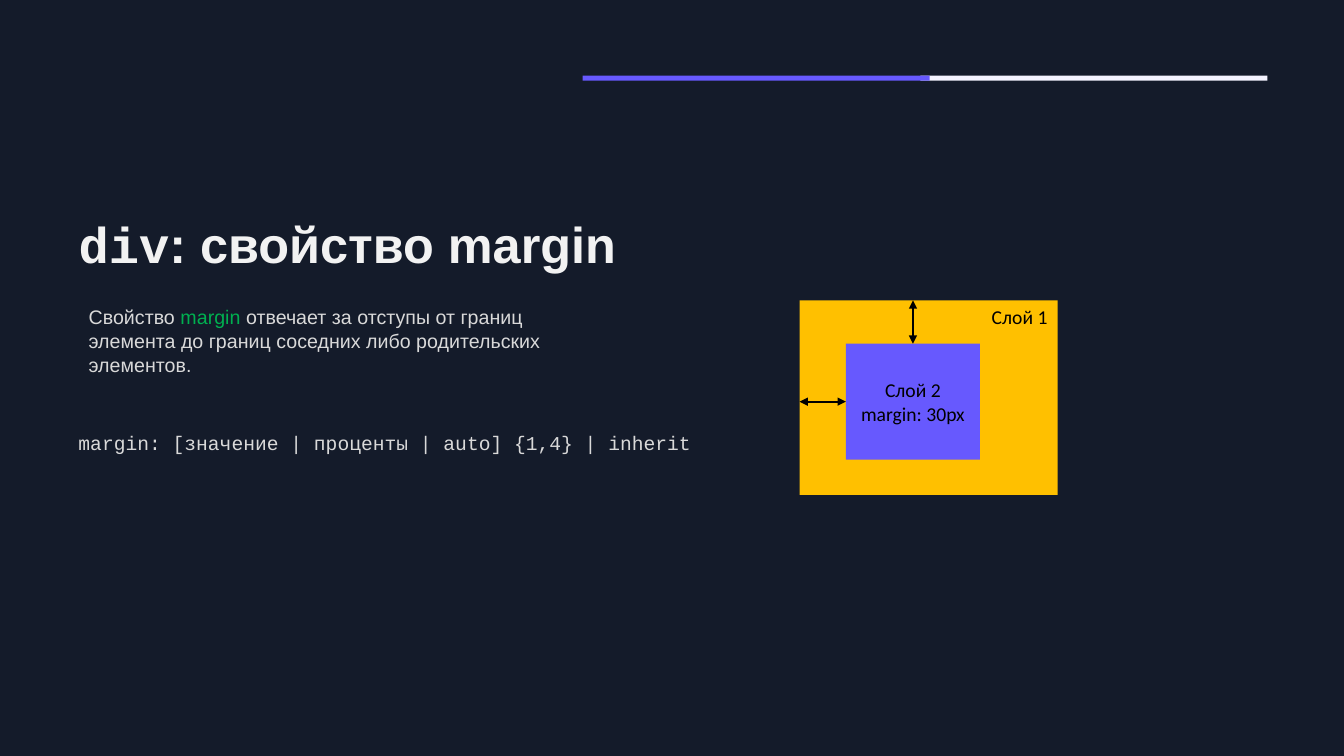
from dataclasses import dataclass

from lxml import etree
from pptx import Presentation
from pptx.dml.color import RGBColor
from pptx.enum.shapes import MSO_CONNECTOR, MSO_SHAPE
from pptx.enum.text import MSO_ANCHOR, MSO_AUTO_SIZE, PP_ALIGN
from pptx.oxml.ns import qn
from pptx.util import Inches, Pt

STRAIGHT = MSO_CONNECTOR.STRAIGHT
RECTANGLE = MSO_SHAPE.RECTANGLE
TOP, MIDDLE = MSO_ANCHOR.TOP, MSO_ANCHOR.MIDDLE
LEFT, CENTER, RIGHT = PP_ALIGN.LEFT, PP_ALIGN.CENTER, PP_ALIGN.RIGHT
TITLE_ONLY_LAYOUT = 5


@dataclass(frozen=True)
class Theme:
    background: str = "141B2A"
    title: str = "F2F2F2"
    body: str = "D9D9D9"
    keyword: str = "00B050"
    pale: str = "F4F3FF"
    violet: str = "6759FE"
    amber: str = "FFC000"
    black: str = "000000"
    title_size: int = 36
    text_size: int = 14
    sans: str = "Arial"
    mono: str = "Courier New"
    diagram: str = "Calibri"


THEME = Theme()


def rgb(color):
    return RGBColor.from_string(color)


def style_font(font, name, size, color):
    font.name = name
    font.size = Pt(size)
    font.color.rgb = rgb(color)


def fill_title(slide, runs):
    """Fill the title placeholder with (text, font name) runs."""
    title = slide.shapes.title
    title.left, title.top = Inches(0.68), Inches(2.13)
    title.width, title.height = Inches(11.89), Inches(0.65)
    frame = title.text_frame
    frame.auto_size = MSO_AUTO_SIZE.NONE
    frame.vertical_anchor = MIDDLE
    paragraph = frame.paragraphs[0]
    paragraph.alignment = LEFT
    paragraph.line_spacing = 0.9
    for text, font_name in runs:
        run = paragraph.add_run()
        run.text = text
        style_font(run.font, font_name, THEME.title_size, THEME.title)
        run.font.bold = True


def add_text(slide, left, top, width, height, runs, font_name, wrap=True):
    """Add a one-paragraph text box of (text, color) runs."""
    box = slide.shapes.add_textbox(
        Inches(left), Inches(top), Inches(width), Inches(height))
    frame = box.text_frame
    frame.word_wrap = wrap
    frame.auto_size = MSO_AUTO_SIZE.SHAPE_TO_FIT_TEXT
    for text, color in runs:
        run = frame.paragraphs[0].add_run()
        run.text = text
        style_font(run.font, font_name, THEME.text_size, color)
    return frame


def add_rectangle(shapes, left, top, width, height, color):
    rectangle = shapes.add_shape(
        RECTANGLE, Inches(left), Inches(top), Inches(width), Inches(height))
    rectangle.shadow.inherit = False
    rectangle.fill.solid()
    rectangle.fill.fore_color.rgb = rgb(color)
    rectangle.line.fill.background()
    return rectangle


def label_layer(layer, lines, alignment, anchor):
    frame = layer.text_frame
    frame.vertical_anchor = anchor
    frame.text = "\n".join(lines)
    for paragraph in frame.paragraphs:
        paragraph.alignment = alignment
        style_font(paragraph.font, THEME.diagram, THEME.text_size, THEME.black)


def add_double_arrow(shapes, start, end):
    arrow = shapes.add_connector(
        STRAIGHT, *(Inches(value) for value in (*start, *end)))
    arrow.line.color.rgb = rgb(THEME.black)
    arrow.line.width = Pt(1.5)
    line = arrow.line._get_or_add_ln()
    for end_name in ("a:headEnd", "a:tailEnd"):
        etree.SubElement(line, qn(end_name), type="triangle")
    etree.SubElement(arrow._element.spPr, qn("a:effectLst"))


def add_margin_diagram(slide):
    outer_left, outer_top = 7.93, 2.98
    inner_left, inner_top, inner_width, inner_height = 8.39, 3.41, 1.33, 1.15
    center_x = inner_left + inner_width / 2
    center_y = inner_top + inner_height / 2
    shapes = slide.shapes.add_group_shape().shapes

    outer = add_rectangle(shapes, outer_left, outer_top, 2.56, 1.93, THEME.amber)
    label_layer(outer, ["Слой 1"], RIGHT, TOP)
    inner = add_rectangle(shapes, inner_left, inner_top, inner_width,
                          inner_height, THEME.violet)
    label_layer(inner, ["Слой 2", "margin: 30px"], CENTER, MIDDLE)

    add_double_arrow(shapes, (center_x, inner_top), (center_x, outer_top))
    add_double_arrow(shapes, (inner_left, center_y), (outer_left, center_y))


def main():
    presentation = Presentation()
    presentation.slide_width = Inches(13.33)
    presentation.slide_height = Inches(7.5)
    slide = presentation.slides.add_slide(
        presentation.slide_layouts[TITLE_ONLY_LAYOUT])
    slide.background.fill.solid()
    slide.background.fill.fore_color.rgb = rgb(THEME.background)

    fill_title(slide, [("div", THEME.mono), (": свойство margin", THEME.sans)])
    for left, color in ((9.13, THEME.pale), (5.78, THEME.violet)):
        add_rectangle(slide.shapes, left, 0.75, 3.44, 0.05, color)

    description = add_text(slide, 0.68, 2.98, 5.47, 0.81, [
        ("Свойство ", THEME.body),
        ("margin", THEME.keyword),
        (" отвечает за отступы от границ элемента до границ соседних "
         "либо родительских элементов.", THEME.body),
    ], THEME.sans)
    description.margin_left = Inches(0.2)
    description.paragraphs[0].space_before = Pt(5)
    add_text(slide, 0.68, 4.23, 6.31, 0.34, [
        ("margin: [значение | проценты | auto] {1,4} | inherit", THEME.body),
    ], THEME.mono, wrap=False)

    add_margin_diagram(slide)
    presentation.save("out.pptx")


if __name__ == "__main__":
    main()
